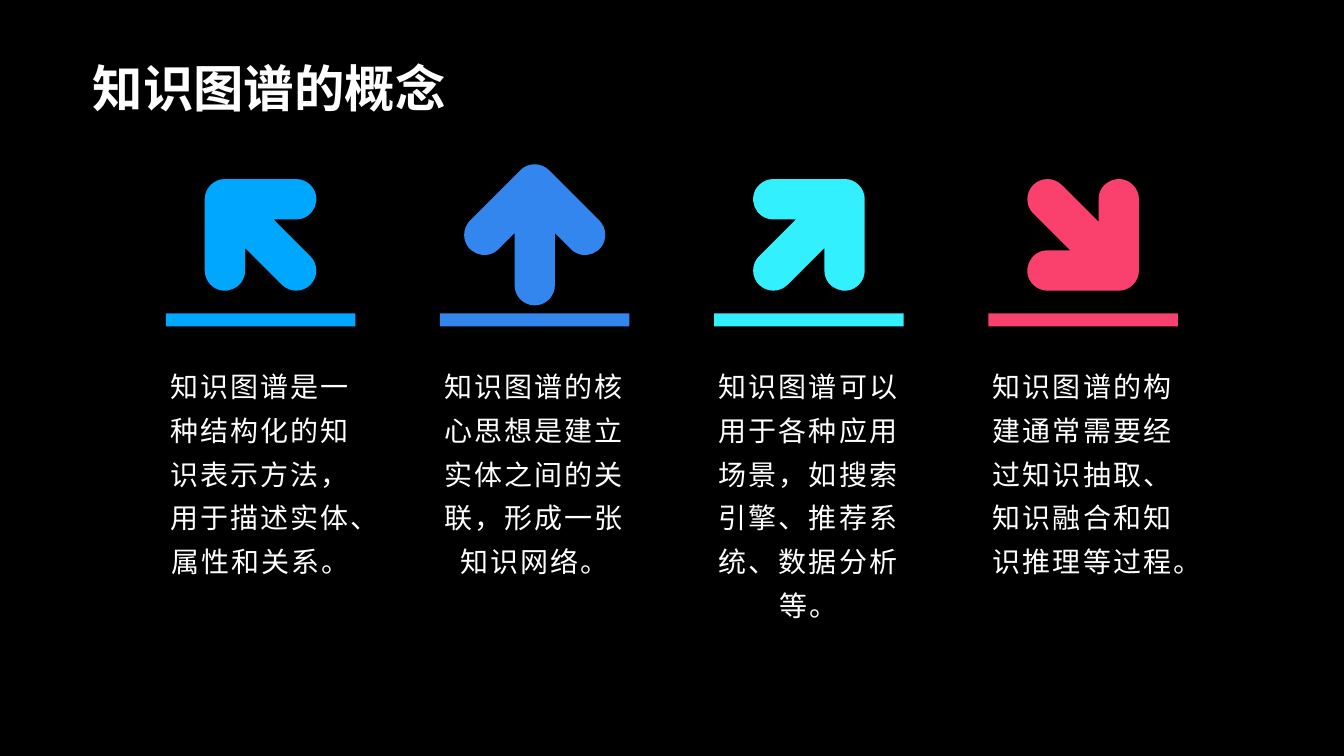
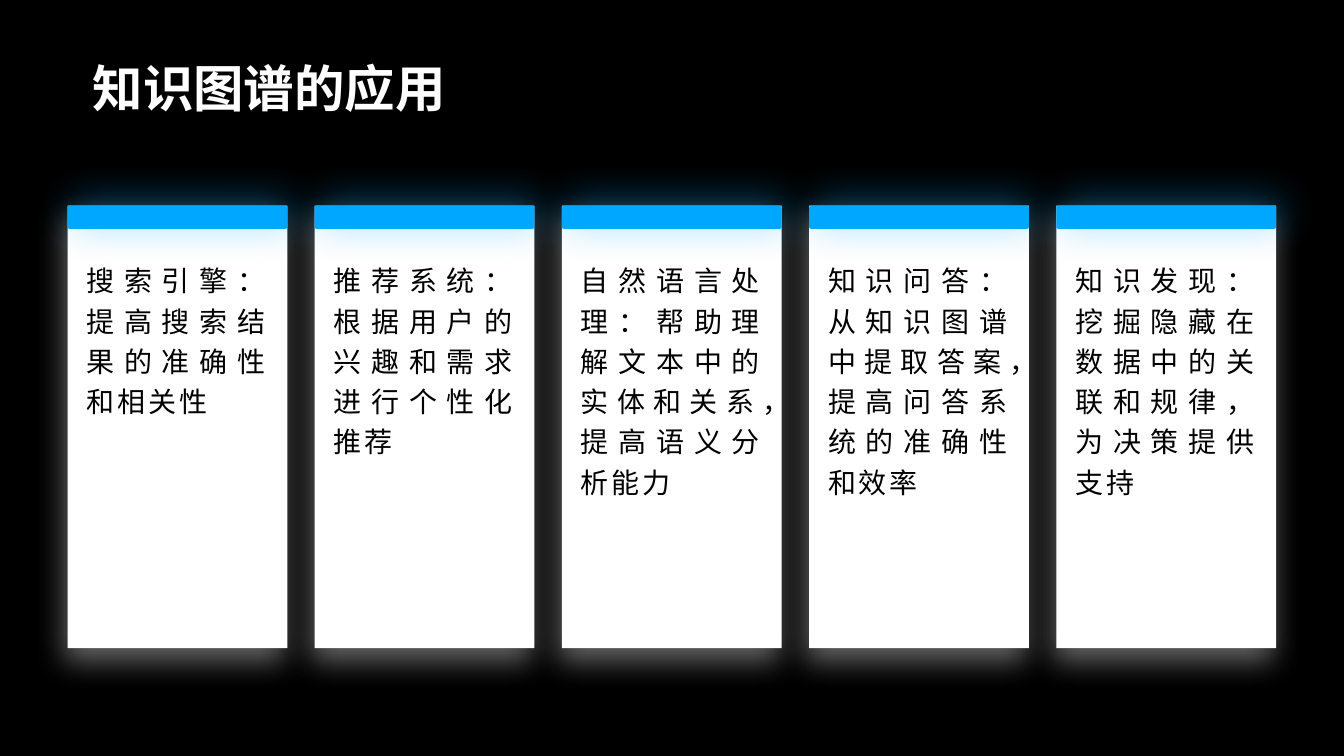
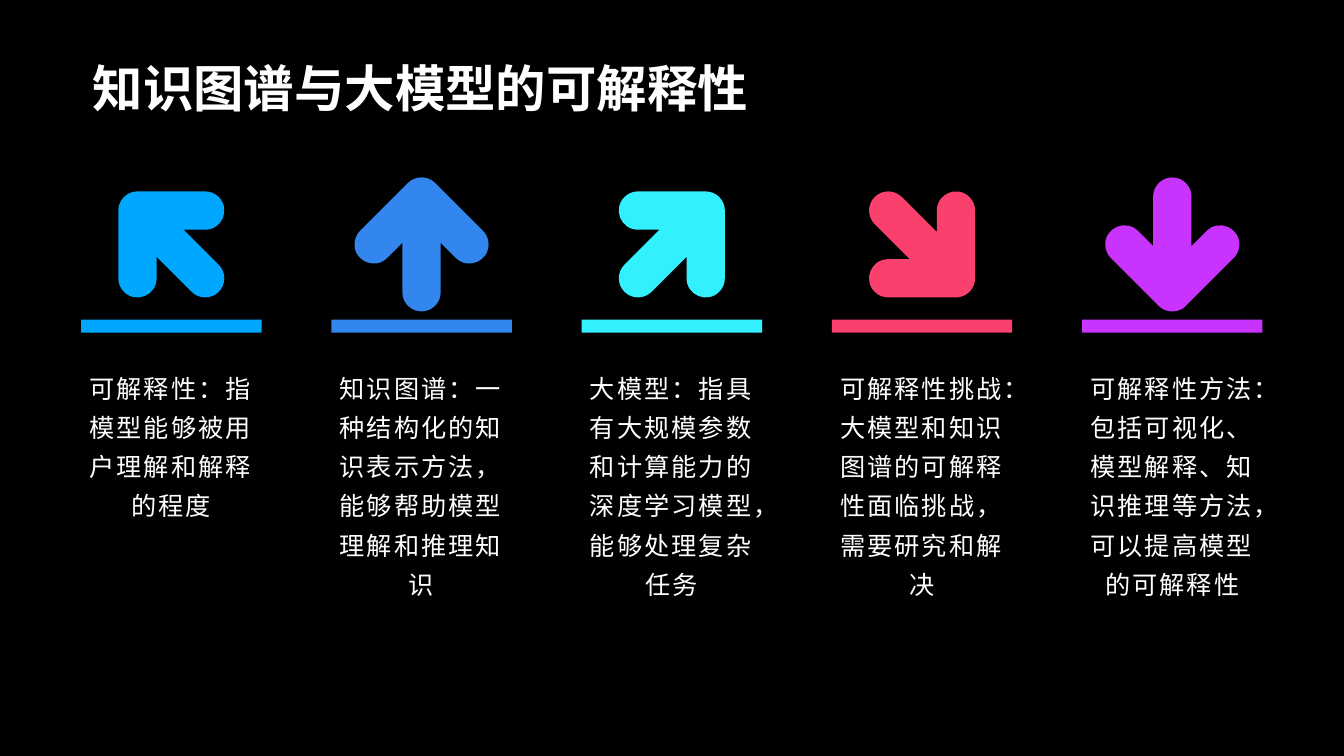
"""Build three dark slides about knowledge graphs."""
from dataclasses import dataclass
from math import cos, radians, sin, sqrt, tan

from lxml import etree
from pptx import Presentation
from pptx.dml.color import RGBColor
from pptx.enum import lang, shapes, text
from pptx.oxml.ns import qn
from pptx.util import Emu, Inches, Pt

Point = tuple[float, float]
Box = tuple[float, float, float, float]


@dataclass(frozen=True)
class Theme:
    black: str = "000000"
    white: str = "FFFFFF"
    sky: str = "00A7FF"
    blue: str = "3386ED"
    cyan: str = "33F0FF"
    red: str = "FA406C"
    violet: str = "C933FE"
    title_font: str = "Arial"
    body_font: str = "Noto Sans CJK SC"
    title_size: int = 36
    body_size: int = 20
    small_size: int = 18


T = Theme()


@dataclass(frozen=True)
class Arrow:
    color: str
    angle: int


@dataclass(frozen=True)
class ArrowGrid:
    left: float
    right: float
    text_width: float
    text_top: float
    text_height: float
    arrow_size: float
    arrow_top: float
    bar_width: float
    bar_top: float
    text_size: int


@dataclass(frozen=True)
class TextStyle:
    size: int
    color: str
    align: text.PP_ALIGN
    line_spacing: float
    char_spacing: float


@dataclass(frozen=True)
class Shadow:
    color: str
    alpha: int
    blur: int
    distance: int
    direction: int


ARROWS = [
    Arrow(T.sky, 315),
    Arrow(T.blue, 0),
    Arrow(T.cyan, 45),
    Arrow(T.red, 135),
    Arrow(T.violet, 180),
]
WIDE_GRID = ArrowGrid(1.5, 11.83, 2.17, 3.52, 3.31, 1.4, 1.63, 1.88, 3.11, T.body_size)
FULL_GRID = ArrowGrid(0.67, 12.66, 2.06, 3.56, 3.15, 1.33, 1.76, 1.79, 3.17, T.small_size)
BAR_HEIGHT = 0.13

CARD_WIDTH, CARD_TOP, CARD_HEIGHT, BAND_HEIGHT = 2.18, 2.04, 4.39, 0.23
CARD_TEXT = TextStyle(T.body_size, T.black, text.PP_ALIGN.JUSTIFY, 1.2, 2)
CARD_SHADOW = Shadow(T.white, 40, 22, 9, 106)
BAND_SHADOW = Shadow(T.sky, 45, 30, 5, 315)

CONCEPTS = [
    "知识图谱是一种结构化的知识表示方法，用于描述实体、属性和关系。",
    "知识图谱的核心思想是建立实体之间的关联，形成一张知识网络。",
    "知识图谱可以用于各种应用场景，如搜索引擎、推荐系统、数据分析等。",
    "知识图谱的构建通常需要经过知识抽取、知识融合和知识推理等过程。",
]
APPLICATIONS = [
    "搜索引擎：提高搜索结果的准确性和相关性",
    "推荐系统：根据用户的兴趣和需求进行个性化推荐",
    "自然语言处理：帮助理解文本中的实体和关系，提高语义分析能力",
    "知识问答：从知识图谱中提取答案，提高问答系统的准确性和效率",
    "知识发现：挖掘隐藏在数据中的关联和规律，为决策提供支持",
]
EXPLAINABILITY = [
    "可解释性：指模型能够被用户理解和解释的程度",
    "知识图谱：一种结构化的知识表示方法，能够帮助模型理解和推理知识",
    "大模型：指具有大规模参数和计算能力的深度学习模型，能够处理复杂任务",
    "可解释性挑战：大模型和知识图谱的可解释性面临挑战，需要研究和解决",
    "可解释性方法：包括可视化、模型解释、知识推理等方法，可以提高模型的可解释性",
]


def columns(left: float, right: float, width: float, count: int) -> list[float]:
    step = (right - left - width) / (count - 1)
    return [left + i * step for i in range(count)]


def add_run(p, words: str, font: str, size: int, color: str):
    r = p.add_run()
    r.text = words
    r.font.name, r.font.size = font, Pt(size)
    r.font.color.rgb = RGBColor.from_string(color)
    r.font.language_id = lang.MSO_LANGUAGE_ID.SIMPLIFIED_CHINESE
    ea = etree.SubElement(r.font._element, qn("a:ea"))
    ea.set("typeface", T.body_font)
    return r


def add_titled_slide(prs, title: str):
    s = prs.slides.add_slide(prs.slide_layouts[5])
    sp = s.shapes.title
    sp.left, sp.top, sp.width, sp.height = map(Inches, (0.92, 0.4, 11.5, 0.94))
    tf = sp.text_frame
    tf.margin_left = tf.margin_right = tf.margin_top = tf.margin_bottom = 0
    tf.vertical_anchor = text.MSO_ANCHOR.MIDDLE
    tf.auto_size = text.MSO_AUTO_SIZE.NONE
    p = tf.paragraphs[0]
    p.alignment = text.PP_ALIGN.LEFT
    add_run(p, title, T.title_font, T.title_size, T.white).font.bold = True
    return s


def add_text(s, box: Box, words: str, style: TextStyle) -> None:
    tf = s.shapes.add_textbox(*map(Inches, box)).text_frame
    tf.word_wrap = True
    p = tf.paragraphs[0]
    p.alignment, p.line_spacing = style.align, style.line_spacing
    r = add_run(p, words, T.body_font, style.size, style.color)
    r.font._element.set("spc", str(int(style.char_spacing * 100)))


def paint(sp, color: str) -> None:
    sp.fill.solid()
    sp.fill.fore_color.rgb = RGBColor.from_string(color)
    sp.line.fill.background()
    sp.shadow.inherit = False


def add_block(s, kind, box: Box, color: str):
    sp = s.shapes.add_shape(kind, *map(Inches, box))
    paint(sp, color)
    return sp


def cast_shadow(sp, shadow: Shadow) -> None:
    effects = sp._element.spPr.find(qn("a:effectLst"))
    outer = etree.SubElement(effects, qn("a:outerShdw"))
    outer.set("blurRad", str(Pt(shadow.blur)))
    outer.set("dist", str(Pt(shadow.distance)))
    outer.set("dir", str(shadow.direction * 60000))
    outer.set("algn", "ctr")
    outer.set("rotWithShape", "0")
    color = etree.SubElement(outer, qn("a:srgbClr"))
    color.set("val", shadow.color)
    etree.SubElement(color, qn("a:alpha")).set("val", str(shadow.alpha * 1000))


def rounded_end(x: float, y: float, radius: float, *angles: int) -> list[list[Point]]:
    """Return a line to the first angle, then one cubic curve to each later angle."""

    def at(angle: int, pull: float = 0) -> Point:
        c, n = cos(radians(angle)), sin(radians(angle))
        return x + radius * (c - pull * n), y + radius * (n + pull * c)

    segments = [[at(angles[0])]]
    for start, end in zip(angles, angles[1:]):
        pull = 4 / 3 * tan(radians(end - start) / 4)
        segments.append([at(start, pull), at(end, -pull), at(end)])
    return segments


def up_arrow() -> list[list[Point]]:
    radius, reach = 2 / 7, 5 / 7
    notch = radius * (1 + sqrt(2)) - reach
    return [
        *rounded_end(0, -reach, radius, -135, -90, -45),
        *rounded_end(reach, 0, radius, -45, 0, 135),
        [(radius, notch)],
        *rounded_end(0, reach, radius, 0, 90, 180),
        [(-radius, notch)],
        *rounded_end(-reach, 0, radius, 45, 180, 225),
    ]


def add_arrow(s, center: float, top: float, size: float, arrow: Arrow) -> None:
    half = size / 2
    segments = up_arrow()
    points = [
        (Inches(center + x * half), Inches(top + half + y * half))
        for segment in segments
        for x, y in segment
    ]
    builder = s.shapes.build_freeform(*points[0])
    builder.add_line_segments(points[1:], close=True)
    sp = builder.convert_to_shape(Emu(0), Emu(0))
    lines = iter(sp._element.findall(".//" + qn("a:lnTo")))
    for segment in segments[1:]:
        first, *others = [next(lines) for _ in segment]
        if others:
            first.tag = qn("a:cubicBezTo")
        for line in others:
            first.append(line[0])
            line.getparent().remove(line)
    sp.rotation = arrow.angle
    paint(sp, arrow.color)


def add_arrow_slide(prs, title: str, items: list[str], g: ArrowGrid) -> None:
    s = add_titled_slide(prs, title)
    style = TextStyle(g.text_size, T.white, text.PP_ALIGN.CENTER, 1.3, 1.5)
    lefts = columns(g.left, g.right, g.text_width, len(items))
    for left, words, arrow in zip(lefts, items, ARROWS):
        center = left + g.text_width / 2
        add_arrow(s, center, g.arrow_top, g.arrow_size, arrow)
        add_text(s, (left, g.text_top, g.text_width, g.text_height), words, style)
        bar = (center - g.bar_width / 2, g.bar_top, g.bar_width, BAR_HEIGHT)
        add_block(s, shapes.MSO_SHAPE.RECTANGLE, bar, arrow.color)


def add_card_slide(prs, title: str, items: list[str]) -> None:
    s = add_titled_slide(prs, title)
    layers = [
        (CARD_HEIGHT, T.white, 0, CARD_SHADOW),
        (BAND_HEIGHT, T.sky, 0.08, BAND_SHADOW),
    ]
    for left, words in zip(columns(0.67, 12.66, CARD_WIDTH, len(items)), items):
        for height, color, corner, shadow in layers:
            box = (left, CARD_TOP, CARD_WIDTH, height)
            sp = add_block(s, shapes.MSO_SHAPE.ROUNDED_RECTANGLE, box, color)
            sp.adjustments[0] = corner
            cast_shadow(sp, shadow)
        add_text(s, (left + 0.09, 2.5, 2, 3.78), words, CARD_TEXT)


def main() -> None:
    prs = Presentation()
    prs.slide_width, prs.slide_height = Inches(40 / 3), Inches(7.5)
    background = prs.slide_master.background.fill
    background.solid()
    background.fore_color.rgb = RGBColor.from_string(T.black)
    add_arrow_slide(prs, "知识图谱的概念", CONCEPTS, WIDE_GRID)
    add_card_slide(prs, "知识图谱的应用", APPLICATIONS)
    add_arrow_slide(prs, "知识图谱与大模型的可解释性", EXPLAINABILITY, FULL_GRID)
    prs.save("out.pptx")


if __name__ == "__main__":
    main()
